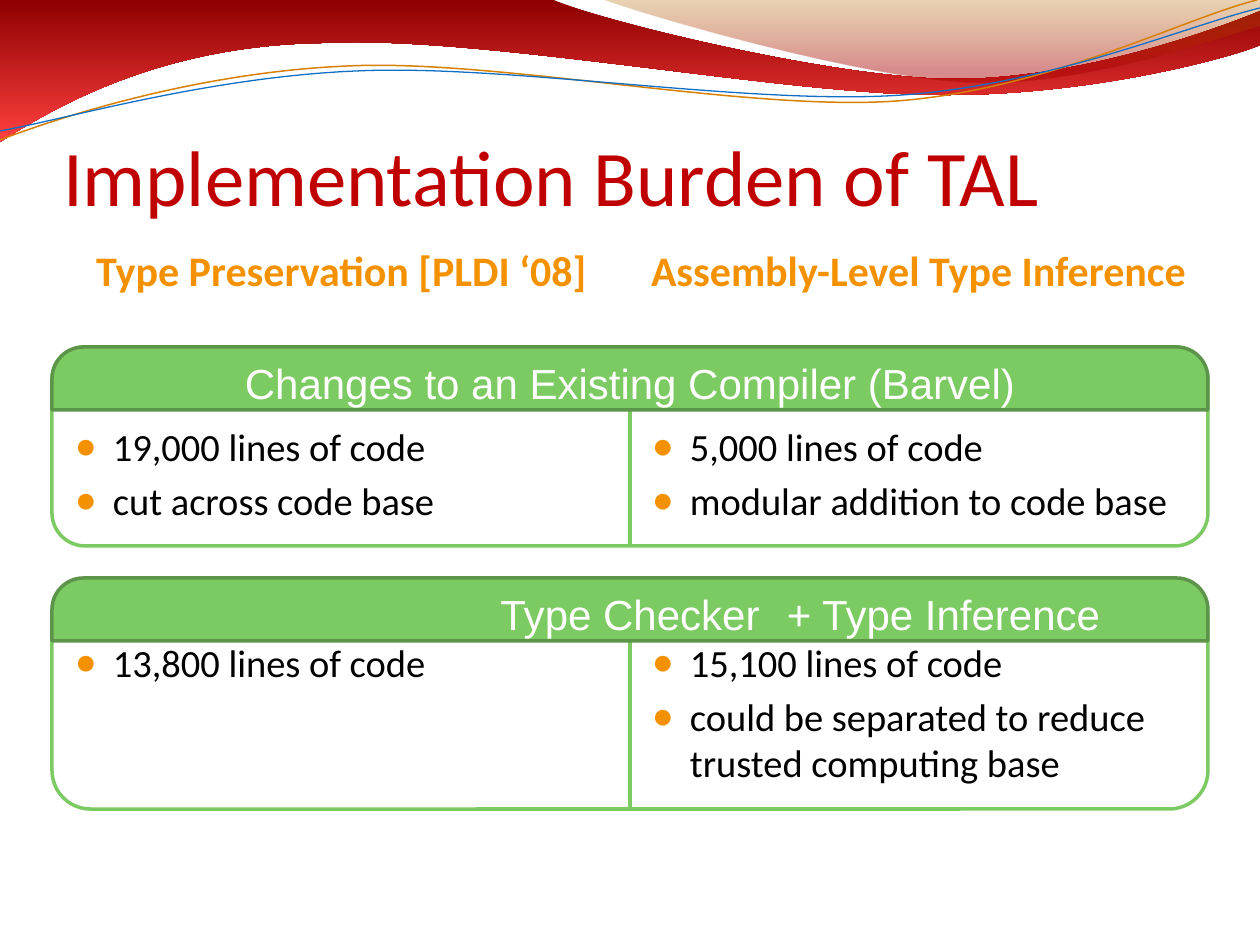
from dataclasses import dataclass

from lxml.etree import SubElement
from pptx import Presentation
from pptx.dml.color import RGBColor
from pptx.enum.shapes import MSO_CONNECTOR, MSO_SHAPE
from pptx.enum.text import MSO_ANCHOR, MSO_AUTO_SIZE, PP_ALIGN
from pptx.oxml.ns import qn
from pptx.util import Emu, Pt


@dataclass(frozen=True)
class Theme:
    """Colours, fonts and type sizes of the slide."""
    title: str = "C00000"
    accent: str = "F49100"
    ink: str = "000000"
    light: str = "FFFFFF"
    green: str = "7CCA62"
    edge: str = "5C9549"
    gold: str = "D78000"
    blue: str = "0F6FC6"
    band: tuple = ((0, "8E0000", 100), (1, "FF4040", 100))
    glow: tuple = ((0, "B56B00", 30), (0.8, "A90000", 45))
    sans: str = "Calibri"
    plain: str = "Arial"
    big: int = 45
    head: int = 24
    body: int = 22


THEME = Theme()
SCALE = 914400 / 126
WIDE, HIGH = 1260, 945

BAND = [(0, 0), (554, 0), (600, 21, 837, 79, 955, 79),
        (1075, 79, 1207, 33, 1260, 11), (1260, 45),
        (1239, 55, 1096, 96, 940, 95), (784, 95, 481, 35, 324, 43),
        (163, 45, 58, 105, 0, 142)]
GLOW = [(604, 0), (641, 14, 859, 78, 969, 82),
        (1079, 87, 1211, 40, 1260, 26), (1260, 0)]
GOLD = [(0, 140), (60, 117, 199, 72, 349, 66),
        (498, 59, 747, 112, 898, 101), (1050, 89, 1182, 19, 1257, 0)]
BLUE = [(0, 131), (59, 121, 207, 77, 357, 71),
        (508, 64, 752, 106, 903, 95), (1053, 84, 1186, 26, 1260, 8)]


def px(*vals):
    """Turn pixels into EMU."""
    return [Emu(round(val * SCALE)) for val in vals]


def put(item, **vals):
    """Set each given format value on an item."""
    for name, val in vals.items():
        setattr(item, name, val)


def frame(shape, pad=None, **vals):
    """Format the text frame of a shape and return it."""
    text = shape.text_frame
    put(text, word_wrap=True, auto_size=MSO_AUTO_SIZE.NONE, **vals)
    if pad:
        sides = ("margin_left", "margin_top", "margin_right", "margin_bottom")
        put(text, **dict(zip(sides, px(*pad))))
    return text


def write(para, words, color, size, font, align=PP_ALIGN.LEFT, gap=0, bold=False):
    """Write one run of text in a paragraph."""
    put(para, alignment=align, space_before=Pt(gap))
    run = para.add_run()
    run.text = words
    put(run.font, name=font, size=Pt(size), bold=bold)
    run.font.color.rgb = RGBColor.from_string(color)


def bullet(para):
    """Give a paragraph a round bullet and a hanging indent."""
    props = para._p.get_or_add_pPr()
    hang = px(38)[0]
    props.set("marL", str(hang))
    props.set("indent", str(-hang))
    tint = SubElement(props, qn("a:buClr"))
    SubElement(tint, qn("a:srgbClr"), val=THEME.accent)
    SubElement(props, qn("a:buSzPct"), val="95000")
    SubElement(props, qn("a:buFont"), typeface=THEME.plain)
    SubElement(props, qn("a:buChar"), char="●")


def stroke(line, color, width):
    """Set the colour and width of a line."""
    line.color.rgb = RGBColor.from_string(color)
    line.width = Pt(width)


def bend(shape, steps):
    """Merge the three points of each curve step into one curve."""
    track = next(shape._element.iter(qn("a:path")))
    lines = iter(track.findall(qn("a:lnTo")))
    for step in steps[1:]:
        first = next(lines)
        if len(step) == 6:
            first.tag = qn("a:cubicBezTo")
            for other in (next(lines), next(lines)):
                first.append(other[0])
                track.remove(other)


def wave(shapes, steps, stops=None, line=None):
    """Draw one wave, filled by stops or stroked by a line."""
    points = [tuple(px(*step[spot:spot + 2])) for step in steps
              for spot in range(0, len(step), 2)]
    pen = shapes.build_freeform(*points[0], scale=1.0)
    pen.add_line_segments(points[1:], close=bool(stops))
    shape = pen.convert_to_shape()
    bend(shape, steps)
    shape.shadow.inherit = False
    if line:
        shape.fill.background()
        stroke(shape.line, *line)
        return
    shape.line.fill.background()
    shape.fill.gradient()
    shape.fill.gradient_angle = 270
    for stop, (place, color, _) in zip(shape.fill.gradient_stops, stops):
        stop.position = place
        stop.color.rgb = RGBColor.from_string(color)
    tints = shape._element.spPr.iter(qn("a:srgbClr"))
    for tint, (_, _, alpha) in zip(tints, stops):
        if alpha < 100:
            SubElement(tint, qn("a:alpha"), val=str(alpha * 1000))


def block(shapes, kind, box, fill=None, line=None, bends=()):
    """Add a preset shape with a plain fill and line."""
    shape = shapes.add_shape(kind, *px(*box))
    shape.shadow.inherit = False
    for spot, size in enumerate(bends):
        shape.adjustments[spot] = size
    if fill:
        shape.fill.solid()
        shape.fill.fore_color.rgb = RGBColor.from_string(fill)
    else:
        shape.fill.background()
    if line:
        stroke(shape.line, line, 2)
    else:
        shape.line.fill.background()
    return shape


def label(shape, words, **vals):
    """Write a light centred label in a shape."""
    text = frame(shape, **vals)
    write(text.paragraphs[0], words, THEME.light, THEME.head, THEME.plain,
          PP_ALIGN.CENTER)


def card(shapes, box, words, extra=None):
    """Draw a split card with a header bar and an extra label."""
    left, top, wide, high = box
    bar, mid = 63, left + wide // 2
    block(shapes, MSO_SHAPE.ROUNDED_RECTANGLE, box, line=THEME.green)
    rule = shapes.add_connector(MSO_CONNECTOR.STRAIGHT,
                                *px(mid, top + high, mid, top + bar))
    stroke(rule.line, THEME.green, 2.25)
    SubElement(rule._element.spPr, qn("a:effectLst"))
    head = block(shapes, MSO_SHAPE.ROUND_2_SAME_RECTANGLE, (left, top, wide, bar),
                 THEME.green, THEME.edge, (0.5, 0))
    label(head, words, vertical_anchor=MSO_ANCHOR.MIDDLE)
    if extra:
        side = block(shapes, MSO_SHAPE.ROUND_2_SAME_RECTANGLE,
                     (left + 603, top + 13, 577, 53), bends=(0, 0.5))
        label(side, extra, pad=(13, 50, 13, 0), vertical_anchor=MSO_ANCHOR.BOTTOM)


def column(shapes, box, words, groups):
    """Place a heading and its groups of bullets in a column."""
    left, top, wide, high = box
    bar = 91
    head = frame(shapes.add_textbox(*px(left, top, wide, bar)), (6, 0, 6, 0),
                 vertical_anchor=MSO_ANCHOR.MIDDLE)
    write(head.paragraphs[0], words, THEME.accent, THEME.head, THEME.sans,
          PP_ALIGN.CENTER, 4, True)
    body = frame(shapes.add_textbox(*px(left, top + bar, wide, high - bar)),
                 (12, 108, 12, 6), vertical_anchor=MSO_ANCHOR.TOP)
    para = body.paragraphs[0]
    for rank, group in enumerate(groups):
        for spot, item in enumerate(group):
            if rank or spot:
                para = body.add_paragraph()
            gap = 4.4 if spot else 66.2 * rank
            write(para, item, THEME.ink, THEME.body, THEME.sans, gap=gap)
            bullet(para)


def heading(title, box, words):
    """Move and format the title."""
    put(title, **dict(zip(("left", "top", "width", "height"), px(*box))))
    text = frame(title, (0, 6, 0, 0), vertical_anchor=MSO_ANCHOR.BOTTOM)
    write(text.paragraphs[0], words, THEME.title, THEME.big, THEME.sans)


def main():
    """Build and save the slide."""
    deck = Presentation()
    deck.slide_width, deck.slide_height = px(WIDE, HIGH)
    slide = deck.slides.add_slide(deck.slide_layouts[5])
    shapes = slide.shapes
    wave(shapes, BAND, THEME.band)
    wave(shapes, GLOW, THEME.glow)
    wave(shapes, GOLD, line=(THEME.gold, 0.85))
    wave(shapes, BLUE, line=(THEME.blue, 0.75))
    heading(shapes.title, (63, 136, 1134, 86), "Implementation Burden of TAL")
    column(shapes, (63, 224, 557, 653), "Type Preservation [PLDI ‘08]",
           [["19,000 lines of code", "cut across code base"],
            ["13,800 lines of code"]])
    column(shapes, (640, 224, 557, 653), "Assembly-Level Type Inference",
           [["5,000 lines of code", "modular addition to code base"],
            ["15,100 lines of code",
             "could be separated to reduce trusted computing base"]])
    card(shapes, (52, 347, 1156, 199), "Changes to an Existing Compiler (Barvel)")
    card(shapes, (52, 578, 1156, 231), "Type Checker", "+ Type Inference")
    deck.save("out.pptx")


main()
